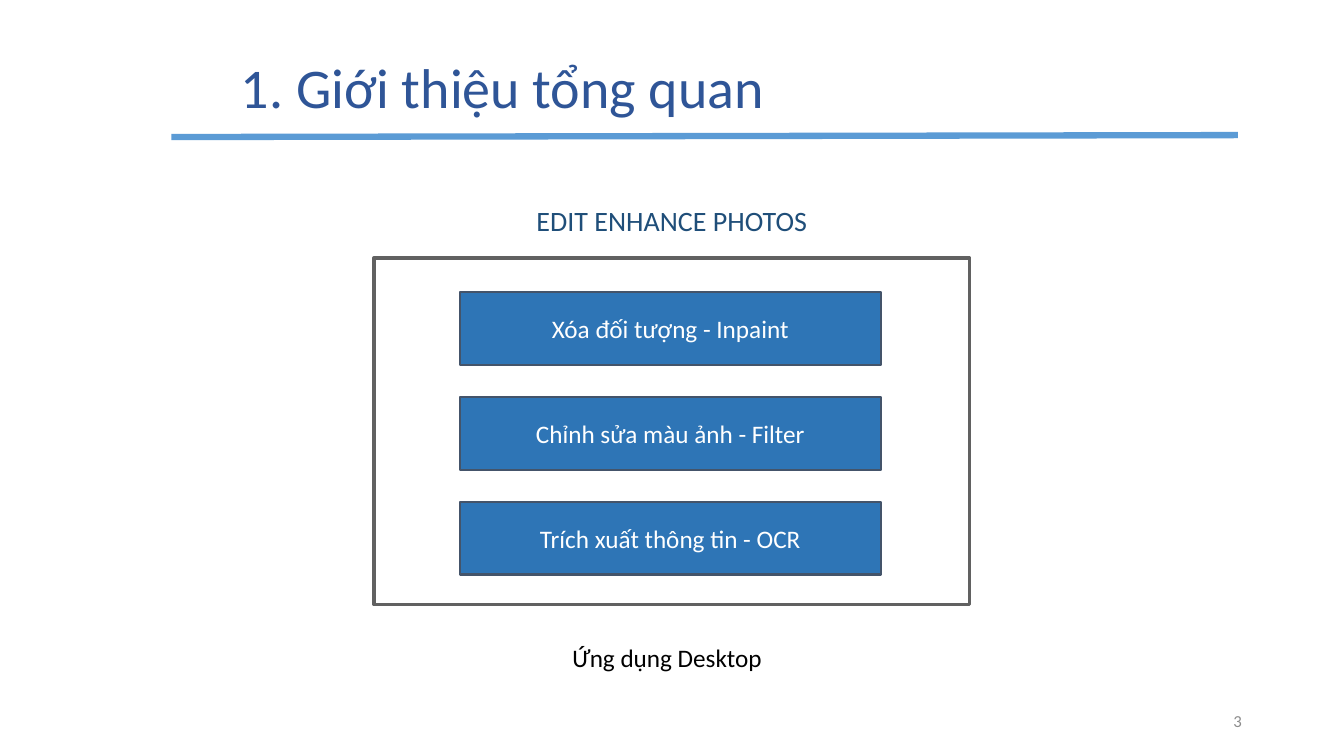
from lxml import etree
from pptx import Presentation
from pptx.dml.color import RGBColor
from pptx.enum import shapes, text
from pptx.oxml.ns import qn
from pptx.util import Pt

# Content
TITLE = "1. Giới thiệu tổng quan"
APP_NAME = "EDIT ENHANCE PHOTOS"
FEATURES = [
    "Xóa đối tượng - Inpaint",
    "Chỉnh sửa màu ảnh - Filter",
    "Trích xuất thông tin - OCR",
]
CAPTION = "Ứng dụng Desktop"
PAGE = "3"

# Layout in points: left, top, width, height
TITLE_BOX = (164.9, 12.2, 728.6, 104.4)
NAME_BOX = (301, 141.8, 357.8, 41)
FRAME_BOX = (267.1, 184.3, 425.5, 247.7)
CAPTION_BOX = (401.8, 455, 159.8, 28.8)
PAGE_BOX = (678.2, 500.4, 216, 28.8)
RULE = (122.4, 97.9, 884.2, 96.5)
FEATURE_LEFT, FEATURE_TOP, FEATURE_WIDTH, FEATURE_HEIGHT = 328.3, 208.8, 301, 51.8
FEATURE_PITCH = 74.9

LEFT, CENTER, RIGHT = text.PP_ALIGN.LEFT, text.PP_ALIGN.CENTER, text.PP_ALIGN.RIGHT
TOP, MIDDLE = text.MSO_ANCHOR.TOP, text.MSO_ANCHOR.MIDDLE


def color(value):
    return RGBColor.from_string(value)


def points(values):
    return [Pt(value) for value in values]


def write(part, words, size, hue, align, anchor=MIDDLE, wrap=True):
    frame = part.text_frame
    frame.text = words
    frame.word_wrap = wrap
    frame.vertical_anchor = anchor
    paragraph = frame.paragraphs[0]
    paragraph.alignment = align
    font = paragraph.runs[0].font
    font.name, font.size, font.color.rgb = "Calibri", Pt(size), color(hue)
    return frame


def add_label(slide, box, *style, **options):
    return write(slide.shapes.add_textbox(*points(box)), *style, **options)


def add_box(slide, box, line, weight, fill=None):
    part = slide.shapes.add_shape(shapes.MSO_SHAPE.RECTANGLE, *points(box))
    part.shadow.inherit = False
    if fill:
        part.fill.solid()
        part.fill.fore_color.rgb = color(fill)
    else:
        part.fill.background()
    part.line.color.rgb = color(line)
    part.line.width = Pt(weight)
    return part


def main():
    deck = Presentation()
    deck.slide_width, deck.slide_height = Pt(960), Pt(540)
    slide = deck.slides.add_slide(deck.slide_layouts[5])

    # Title and the rule under it
    title = slide.shapes.title
    title.left, title.top, title.width, title.height = points(TITLE_BOX)
    heading = write(title, TITLE, 40, "2F5597", LEFT)
    heading.auto_size = text.MSO_AUTO_SIZE.NONE
    heading.paragraphs[0].line_spacing = 0.9
    rule = slide.shapes.add_connector(shapes.MSO_CONNECTOR.STRAIGHT, *points(RULE))
    rule.line.color.rgb = color("5B9BD5")
    rule.line.width = Pt(4.5)
    etree.SubElement(rule._element.spPr, qn("a:effectLst"))

    # Page number and application name
    add_label(slide, PAGE_BOX, PAGE, 12, "8C8C8C", RIGHT)
    add_label(slide, NAME_BOX, APP_NAME, 20, "1F4E79", CENTER, TOP)

    # Features, evenly stacked, inside the application frame
    for row, feature in enumerate(FEATURES):
        top = FEATURE_TOP + row * FEATURE_PITCH
        box = (FEATURE_LEFT, top, FEATURE_WIDTH, FEATURE_HEIGHT)
        button = add_box(slide, box, "44546A", 1.5, "2E75B6")
        write(button, feature, 18, "FFFFFF", CENTER)
    add_box(slide, FRAME_BOX, "616161", 2.25)

    # Caption
    caption = add_label(slide, CAPTION_BOX, CAPTION, 18, "000000", LEFT, TOP, wrap=False)
    caption.auto_size = text.MSO_AUTO_SIZE.SHAPE_TO_FIT_TEXT

    deck.save("out.pptx")


if __name__ == "__main__":
    main()
